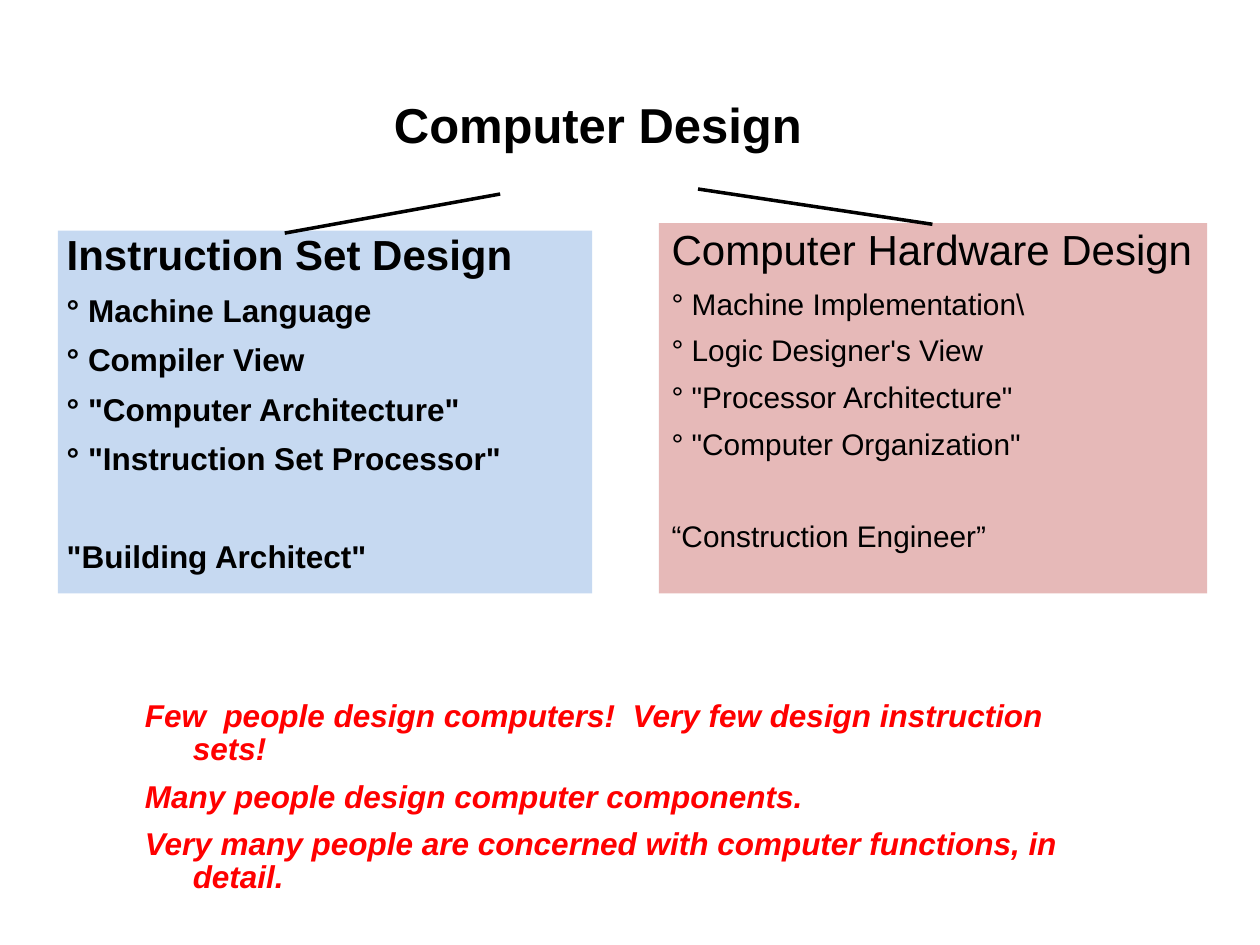
from dataclasses import dataclass

from lxml.etree import SubElement
from pptx import Presentation
from pptx.dml.color import RGBColor
from pptx.enum.shapes import MSO_CONNECTOR, MSO_SHAPE
from pptx.enum.text import MSO_ANCHOR, MSO_AUTO_SIZE, PP_ALIGN
from pptx.oxml.ns import qn
from pptx.util import Inches, Pt

BLACK = RGBColor(0x00, 0x00, 0x00)
RED = RGBColor(0xFF, 0x00, 0x00)
BLUE = RGBColor(0xC6, 0xD9, 0xF1)
PINK = RGBColor(0xE6, 0xB9, 0xB8)
FONT = "Arial"
HANGING = Inches(0.38)
TIGHT = (0.07, 0.03)
ROOMY = (0.1, 0.05)


@dataclass
class Line:
    text: str
    size: float
    before: float = 0


@dataclass
class Style:
    color: RGBColor = BLACK
    bold: bool = False
    italic: bool = False
    spacing: float = 0.9


def place(sp, left: float, top: float, width: float, height: float) -> None:
    sp.left, sp.top = Inches(left), Inches(top)
    sp.width, sp.height = Inches(width), Inches(height)


def set_frame(sp, insets: tuple[float, float], wrap: bool = True):
    tf = sp.text_frame
    tf.margin_left = tf.margin_right = Inches(insets[0])
    tf.margin_top = tf.margin_bottom = Inches(insets[1])
    tf.word_wrap = wrap
    tf.auto_size = MSO_AUTO_SIZE.NONE
    tf.vertical_anchor = MSO_ANCHOR.TOP
    return tf


def format_runs(p, size: float, style: Style) -> None:
    for r in p.runs:
        r.font.name = FONT
        r.font.size = Pt(size)
        r.font.bold = style.bold
        r.font.italic = style.italic
        r.font.color.rgb = style.color


def write_lines(tf, lines: list[Line], style: Style) -> None:
    """Fill a frame with left-aligned paragraphs that have a hanging indent."""
    tf.text = "\n".join(line.text for line in lines)
    for p, line in zip(tf.paragraphs, lines):
        p.alignment = PP_ALIGN.LEFT
        p.line_spacing = style.spacing
        p.space_before = Pt(line.before)
        pPr = p._p.get_or_add_pPr()
        pPr.set("marL", str(HANGING))
        pPr.set("indent", str(-HANGING))
        SubElement(pPr, qn("a:buNone"))
        format_runs(p, line.size, style)


def panel_lines(heading: str, items: list[str], role: str,
                size: float, gap: float, role_gap: float) -> list[Line]:
    return [Line(heading, 24),
            *(Line(f"° {item}", size, gap) for item in items),
            Line(role, size, role_gap)]


def add_branch(slide, start: tuple[float, float], end: tuple[float, float]) -> None:
    line = slide.shapes.add_connector(
        MSO_CONNECTOR.STRAIGHT, *(Inches(v) for v in (*start, *end)))
    line.line.color.rgb = BLACK
    line.line.width = Pt(2)
    SubElement(line._element.spPr, qn("a:effectLst"))


def main() -> None:
    prs = Presentation()
    prs.slide_width, prs.slide_height = Inches(10), Inches(7.5)
    slide = prs.slides.add_slide(prs.slide_layouts[1])

    title = slide.shapes.title
    place(title, 3.04, 0.71, 3.41, 0.54)
    tf = set_frame(title, TIGHT, wrap=False)
    tf.text = "Computer Design"
    p = tf.paragraphs[0]
    p.alignment = PP_ALIGN.CENTER
    p.line_spacing = 1.02
    format_runs(p, 28, Style(bold=True))

    software = slide.shapes.add_shape(
        MSO_SHAPE.RECTANGLE, Inches(0.46), Inches(1.83), Inches(4.24), Inches(2.88))
    software.shadow.inherit = False
    software.fill.solid()
    software.fill.fore_color.rgb = BLUE
    software.line.fill.background()
    write_lines(set_frame(software, TIGHT), panel_lines(
        "Instruction Set Design",
        ["Machine Language", "Compiler View", '"Computer Architecture"',
         '"Instruction Set Processor"'],
        '"Building Architect"', 18, 8.8, 36.4), Style(bold=True))

    hardware = slide.placeholders[1]
    place(hardware, 5.23, 1.77, 4.35, 2.94)
    hardware.fill.solid()
    hardware.fill.fore_color.rgb = PINK
    write_lines(set_frame(hardware, ROOMY), panel_lines(
        "Computer Hardware Design",
        ["Machine Implementation\\", "Logic Designer's View",
         '"Processor Architecture"', '"Computer Organization"'],
        "“Construction Engineer”", 17, 8.4, 34.4), Style())

    remarks = slide.shapes.add_textbox(
        Inches(1.08), Inches(5.53), Inches(7.72), Inches(1.65))
    write_lines(set_frame(remarks, TIGHT), [
        Line("Few  people design computers!  Very few design instruction sets!", 18),
        Line("Many people design computer components.", 18, 8.2),
        Line("Very many people are concerned with computer functions, in detail.", 18, 8.2),
    ], Style(RED, bold=True, italic=True, spacing=0.88))

    add_branch(slide, (5.54, 1.5), (7.4, 1.78))
    add_branch(slide, (3.97, 1.54), (2.26, 1.85))

    prs.save("out.pptx")


if __name__ == "__main__":
    main()
